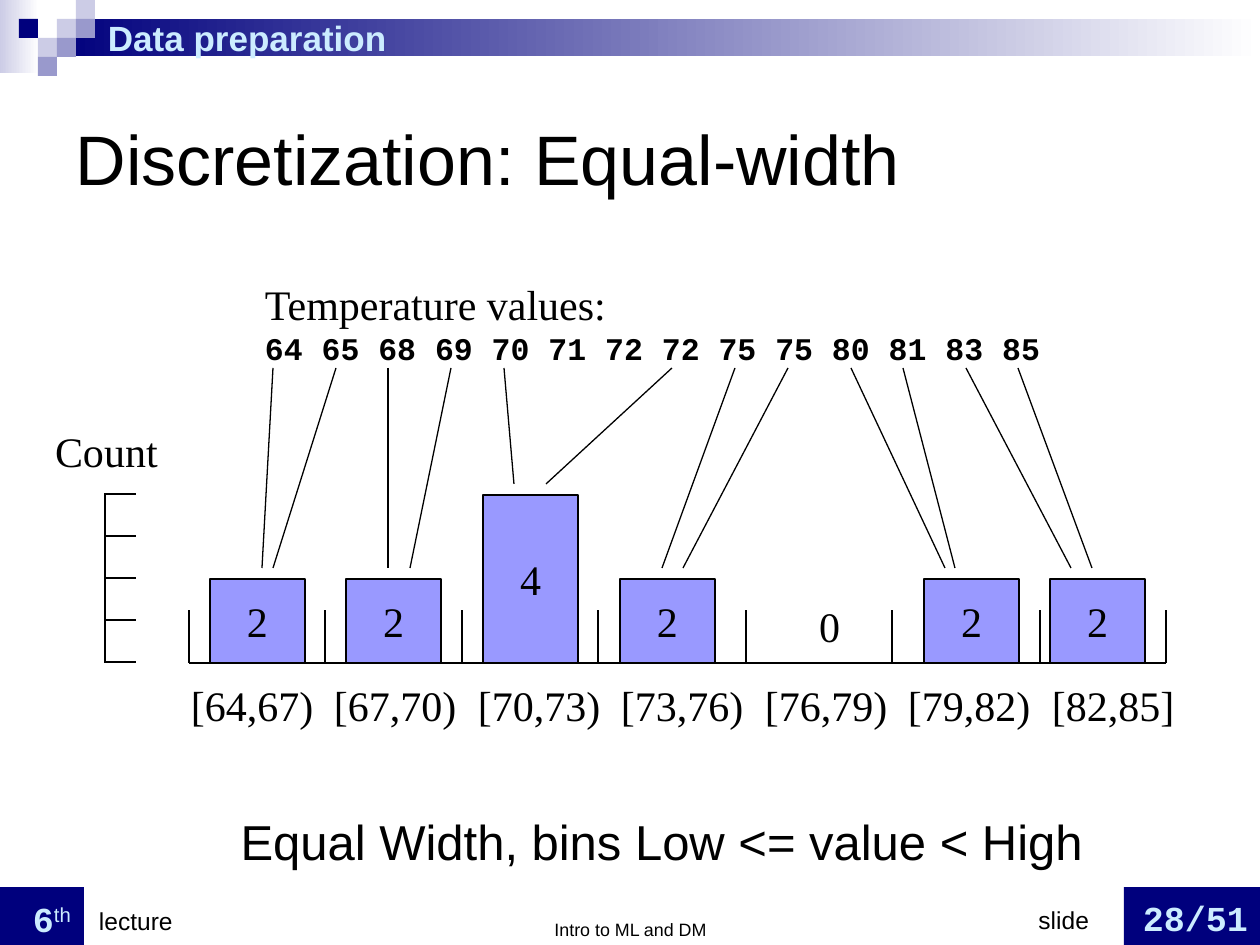
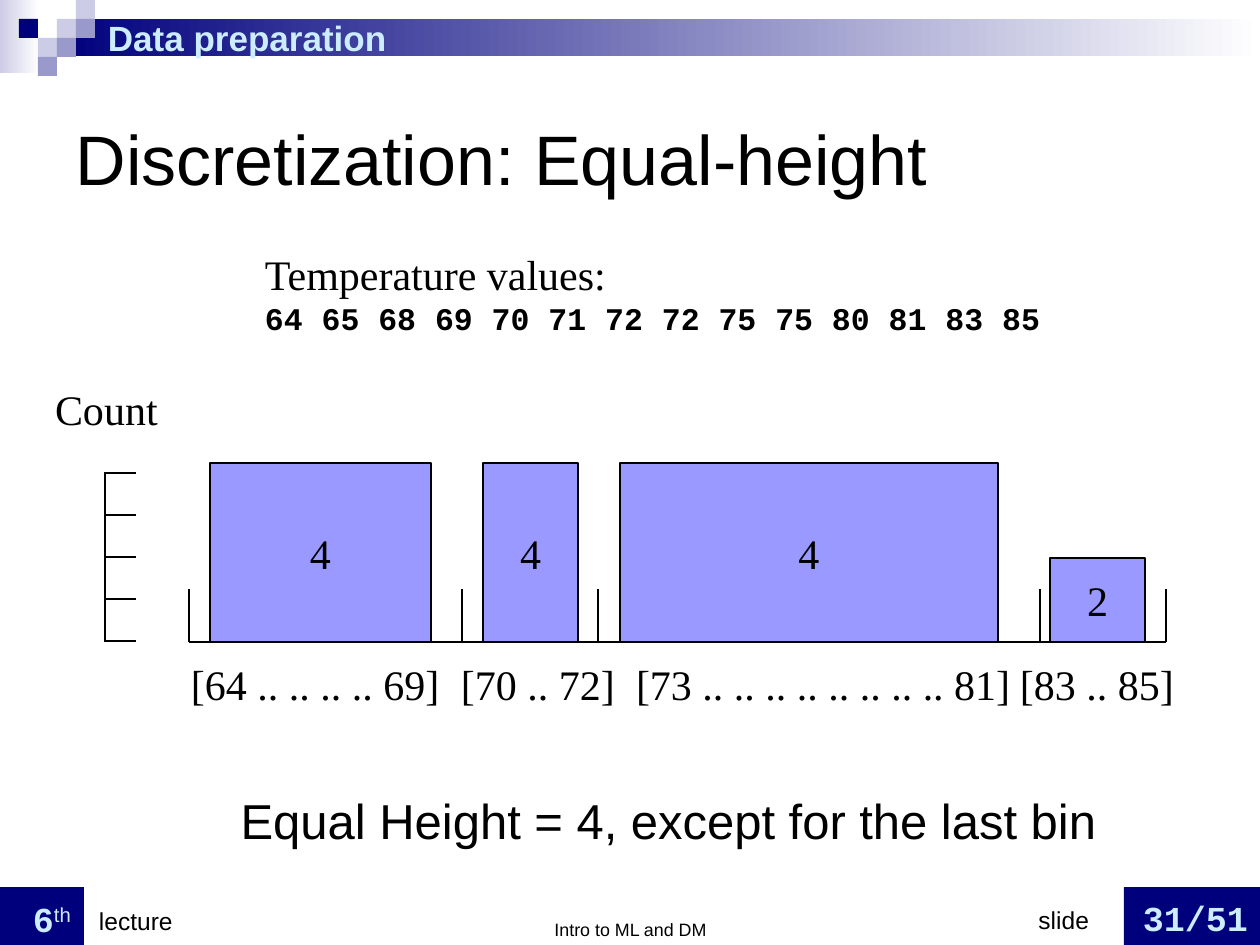
from dataclasses import dataclass
from typing import NamedTuple

from lxml.etree import SubElement
from pptx import Presentation
from pptx.dml.color import RGBColor
from pptx.enum.shapes import MSO_CONNECTOR, MSO_SHAPE
from pptx.enum.text import MSO_ANCHOR, MSO_AUTO_SIZE, PP_ALIGN
from pptx.oxml.ns import qn
from pptx.util import Emu, Inches, Pt

PX_PER_INCH = 126


@dataclass(frozen=True)
class Theme:
    navy: str = "00007D"
    pale: str = "CCCCE6"
    mid: str = "9999CC"
    bar: str = "9999FF"
    sky: str = "CCECFF"
    white: str = "FFFFFF"
    black: str = "000000"
    sans: str = "Arial"
    serif: str = "Times New Roman"
    mono: str = "Courier New"
    title: float = 40
    note: float = 28
    label: float = 24
    banner: float = 20
    values: float = 18
    footer: float = 14
    credit: float = 10.2
    line: float = 0.75


T = Theme()


class Box(NamedTuple):
    left: int
    top: int
    width: int
    height: int


class Square(NamedTuple):
    col: int
    row: int
    color: str


class Bar(NamedTuple):
    left: int
    width: int
    count: int
    height: int
    leaders: tuple[tuple[int, int], ...] = ()


class BinLabel(NamedTuple):
    left: int
    text: str


@dataclass(frozen=True)
class Histogram:
    title: str
    number: str
    note: str
    note_box: Box
    values_top: int
    count_top: int
    base: int
    ticks: tuple[int, ...]
    bars: tuple[Bar, ...]
    labels: tuple[BinLabel, ...]


STEP = 42
BAR_W = 95
CELL = 19
VALUES = "64 65 68 69 70 71 72 72 75 75 80 81 83 85"
RANGES = ("[64,67)", "[67,70)", "[70,73)", "[73,76)", "[76,79)", "[79,82)", "[82,85]")
SQUARES = (
    Square(3, 1, T.pale), Square(4, 0, T.pale), Square(4, 1, T.mid),
    Square(2, 2, T.pale), Square(1, 1, T.navy), Square(3, 2, T.mid),
    Square(2, 3, T.mid),
)

EQUAL_WIDTH = Histogram(
    title="Discretization: Equal-width",
    number="28/51",
    note="Equal Width, bins Low <= value < High",
    note_box=Box(165, 800, 940, 72),
    values_top=279,
    count_top=426,
    base=663,
    ticks=(189, 325, 462, 598, 746, 892, 1040, 1166),
    bars=(
        Bar(210, BAR_W, 2, 2 * STEP, ((273, 262), (336, 273))),
        Bar(346, BAR_W, 2, 2 * STEP, ((388, 388), (451, 410))),
        Bar(483, BAR_W, 4, 4 * STEP, ((504, 514), (672, 546))),
        Bar(620, BAR_W, 2, 2 * STEP, ((735, 662), (788, 683))),
        Bar(782, BAR_W, 0, 0),
        Bar(924, BAR_W, 2, 2 * STEP, ((851, 945), (903, 955))),
        Bar(1050, BAR_W, 2, 2 * STEP, ((966, 1071), (1018, 1092))),
    ),
    labels=tuple(BinLabel(191 + 287 * i // 2, text) for i, text in enumerate(RANGES)),
)

EQUAL_HEIGHT = Histogram(
    title="Discretization: Equal-height",
    number="31/51",
    note="Equal Height = 4, except for the last bin",
    note_box=Box(165, 779, 979, 72),
    values_top=249,
    count_top=384,
    base=642,
    ticks=(189, 462, 598, 1040, 1166),
    bars=(
        Bar(210, 221, 4, 179),
        Bar(483, BAR_W, 4, 179),
        Bar(620, 378, 4, 179),
        Bar(1050, BAR_W, 2, 2 * STEP),
    ),
    labels=(
        BinLabel(191, "[64 .. .. .. .. 69]"),
        BinLabel(461, "[70 .. 72]"),
        BinLabel(636, "[73 .. .. .. .. .. .. .. .. 81]"),
        BinLabel(1020, "[83 .. 85]"),
    ),
)


def px(n: float) -> Emu:
    return Emu(round(n * Inches(1) / PX_PER_INCH))


def emu(box: Box) -> list[Emu]:
    return [px(n) for n in box]


def rgb(color: str) -> RGBColor:
    return RGBColor.from_string(color)


def add_run(p, text: str, *, size: float, font: str = T.sans, color: str = T.black,
            bold: bool = False, raised: bool = False) -> None:
    r = p.add_run()
    r.text = text
    r.font.size = Pt(size)
    r.font.name = font
    r.font.bold = bold
    r.font.color.rgb = rgb(color)
    if raised:
        r._r.get_or_add_rPr().set("baseline", "30000")


def add_text(s, box: Box, text: str, *, align=PP_ALIGN.LEFT, anchor=MSO_ANCHOR.TOP, **fmt):
    tf = s.shapes.add_textbox(*emu(box)).text_frame
    tf.margin_left = tf.margin_right = tf.margin_top = tf.margin_bottom = 0
    tf.word_wrap = True
    tf.vertical_anchor = anchor
    p = tf.paragraphs[0]
    p.alignment = align
    add_run(p, text, **fmt)
    return tf


def add_rect(s, box: Box, color: str, *, fade: bool = False, outline: bool = False):
    sp = s.shapes.add_shape(MSO_SHAPE.RECTANGLE, *emu(box))
    sp.shadow.inherit = False
    if fade:
        sp.fill.gradient()
        sp.fill.gradient_angle = 0
        for stop, shade in zip(sp.fill.gradient_stops, (color, T.white)):
            stop.color.rgb = rgb(shade)
    else:
        sp.fill.solid()
        sp.fill.fore_color.rgb = rgb(color)
    if outline:
        sp.line.color.rgb = rgb(T.black)
        sp.line.width = Pt(T.line)
    else:
        sp.line.fill.background()
    return sp


def add_line(s, x1: int, y1: int, x2: int, y2: int) -> None:
    cn = s.shapes.add_connector(MSO_CONNECTOR.STRAIGHT, px(x1), px(y1), px(x2), px(y2))
    cn.line.color.rgb = rgb(T.black)
    cn.line.width = Pt(T.line)
    SubElement(cn._element.spPr, qn("a:effectLst"))


def fill_placeholder(ph, box: Box, text: str, size: float, anchor):
    ph.left, ph.top, ph.width, ph.height = emu(box)
    tf = ph.text_frame
    tf.auto_size = MSO_AUTO_SIZE.NONE
    tf.word_wrap = True
    tf.vertical_anchor = anchor
    p = tf.paragraphs[0]
    p.alignment = PP_ALIGN.LEFT
    p.space_before = Pt(0)
    add_run(p, text, size=size)
    return tf


def add_banner(s) -> None:
    add_rect(s, Box(0, 0, 39, 73), T.pale, fade=True)
    add_rect(s, Box(57, 19, 1203, 37), T.navy, fade=True)
    for sq in SQUARES:
        add_rect(s, Box(sq.col * CELL, sq.row * CELL, CELL, CELL), sq.color)
    add_text(s, Box(108, 19, 830, 37), "Data preparation", anchor=MSO_ANCHOR.MIDDLE,
             size=T.banner, color=T.sky, bold=True)


def add_footer(s, number: str) -> None:
    add_rect(s, Box(0, 887, 84, 58), T.navy)
    add_rect(s, Box(1124, 887, 136, 58), T.navy)
    bottom = MSO_ANCHOR.BOTTOM
    badge = dict(size=T.banner, color=T.sky)
    tf = add_text(s, Box(33, 890, 50, 50), "6", anchor=bottom, font=T.mono, bold=True, **badge)
    add_run(tf.paragraphs[0], "th", raised=True, **badge)
    add_text(s, Box(99, 895, 150, 40), "lecture", anchor=bottom, size=T.footer)
    add_text(s, Box(412, 900, 437, 40), "Intro to ML and DM", anchor=bottom,
             align=PP_ALIGN.CENTER, size=T.credit)
    add_text(s, Box(989, 894, 100, 40), "slide", anchor=bottom,
             align=PP_ALIGN.RIGHT, size=T.footer)
    add_text(s, Box(1128, 889, 120, 50), number, anchor=bottom,
             align=PP_ALIGN.RIGHT, font=T.mono, bold=True, **badge)


def add_bar(s, bar: Bar, base: int) -> None:
    fmt = dict(size=T.label, font=T.serif)
    top = base - bar.height
    if bar.height:
        sp = add_rect(s, Box(bar.left, top, bar.width, bar.height), T.bar, outline=True)
        tf = sp.text_frame
        tf.vertical_anchor = MSO_ANCHOR.MIDDLE
        p = tf.paragraphs[0]
        p.alignment = PP_ALIGN.CENTER
        add_run(p, str(bar.count), **fmt)
    else:
        add_text(s, Box(bar.left, base - 62, bar.width, 50), str(bar.count),
                 align=PP_ALIGN.CENTER, **fmt)
    for start, end in bar.leaders:
        add_line(s, start, 368, end, top - 11)


def add_histogram(s, h: Histogram) -> None:
    fmt = dict(size=T.label, font=T.serif)
    tf = add_text(s, Box(265, h.values_top, 820, 90), "Temperature values:", **fmt)
    add_run(tf.add_paragraph(), VALUES, size=T.values, font=T.mono, bold=True)
    add_text(s, Box(55, h.count_top, 120, 50), "Count", **fmt)

    add_line(s, 105, h.base, 105, h.base - 4 * STEP - 2)
    for i in range(5):
        y = h.base - 1 - i * STEP
        add_line(s, 105, y, 136, y)

    add_line(s, h.ticks[0], h.base, h.ticks[-1], h.base)
    for x in h.ticks:
        add_line(s, x, h.base, x, h.base - 53)
    for bar in h.bars:
        add_bar(s, bar, h.base)
    for label in h.labels:
        add_text(s, Box(label.left, h.base + 17, 20 + 13 * len(label.text) + 40, 50),
                 label.text, **fmt)


def add_slide(prs, h: Histogram) -> None:
    s = prs.slides.add_slide(prs.slide_layouts[1])
    add_banner(s)
    add_footer(s, h.number)
    fill_placeholder(s.shapes.title, Box(63, 63, 1134, 189), h.title, T.title, MSO_ANCHOR.MIDDLE)
    tf = fill_placeholder(s.placeholders[1], h.note_box, h.note, T.note, MSO_ANCHOR.TOP)
    tf.margin_top = px(11)
    pPr = tf.paragraphs[0]._p.get_or_add_pPr()
    pPr.set("marL", str(px(63)))
    pPr.set("indent", "0")
    SubElement(pPr, qn("a:buNone"))
    add_histogram(s, h)


def main() -> None:
    prs = Presentation()
    prs.slide_width, prs.slide_height = px(1260), px(945)
    for h in (EQUAL_WIDTH, EQUAL_HEIGHT):
        add_slide(prs, h)
    prs.save("out.pptx")


if __name__ == "__main__":
    main()
